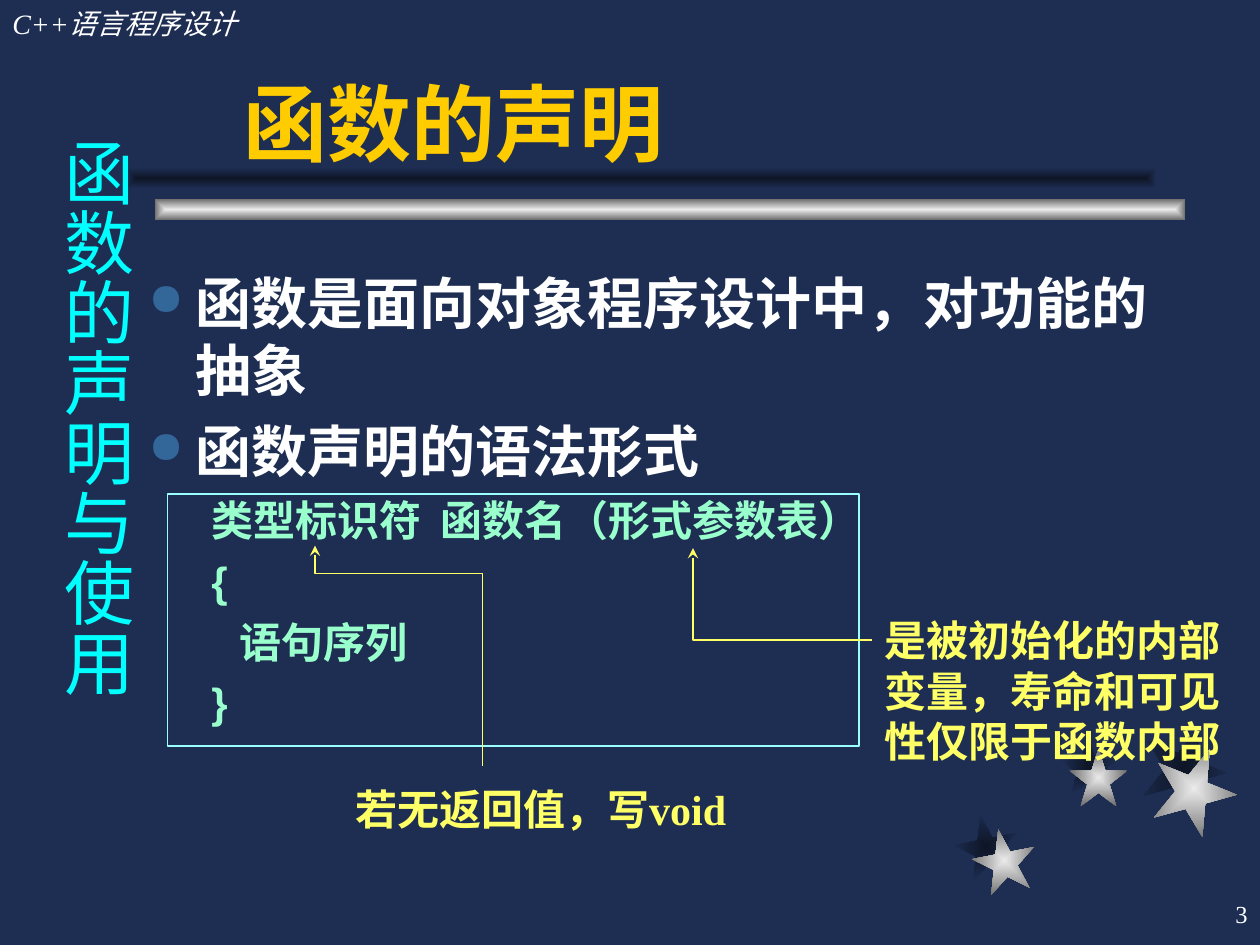
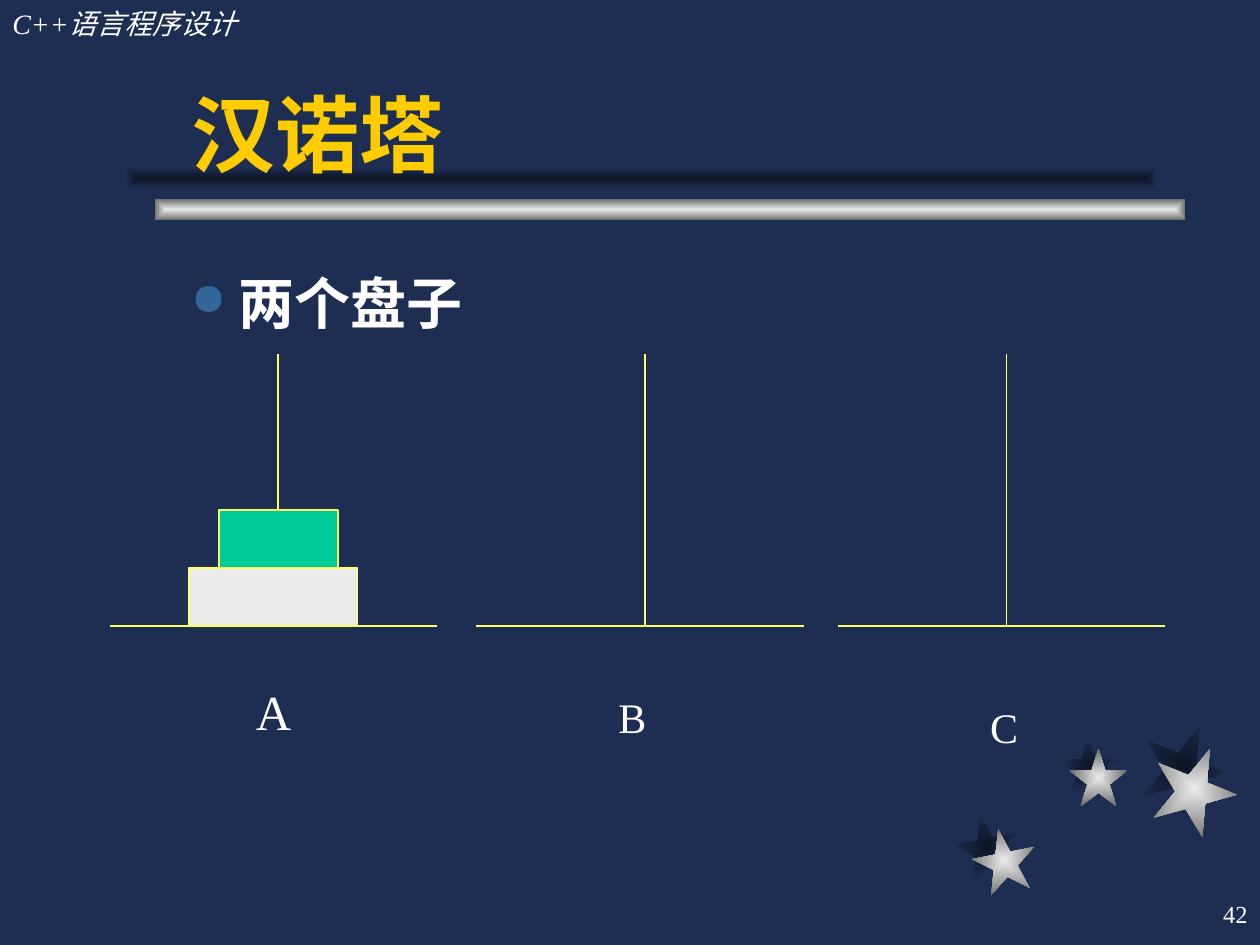
from lxml import etree
from pptx import Presentation
from pptx.dml.color import RGBColor
from pptx.enum import shapes, text
from pptx.oxml import ns
from pptx.util import Cm, Pt

COLOURS = {
    "background": "1E2E53", "shade": "0E1526", "silver": "EAEAEA", "steel": "6C6C6C",
    "white": "FFFFFF", "title": "FFCC00", "bullet": "336699", "code": "99FFCC",
    "chapter": "00FFFF", "frame": "99FFFF", "yellow": "FFFF66", "green": "00CC99",
}
SANS, SERIF = "Arial", "Times New Roman"

# All places and sizes are in centimetres: left, top, width, height.
COURSE = ("C++语言程序设计", (0, 0, 7.82, 0.94))
PAGE_NUMBER_BOX = (20.12, 17.78, 5.28, 1.27)
BAR_SIZE = (20.78, 0.43)
BAR_PLACES = [((3.12, 4.01), "silver", "steel"), ((2.54, 3.38), "shade", "background")]
# size, rotation, place of the shadow, place of the star
STARS = [
    (1.27, 349, (19.25, 16.43), (19.61, 16.71)),
    (1.17, 0, (21.36, 14.86), (21.56, 15.09)),
    (1.7, 22, (23.01, 14.6), (23.22, 15.04)),
]

DECLARATION = {
    "title": ("函数的声明", (4.65, 0.64, 18.85, 2.97)),
    "page": "3",
    "body_box": (2.74, 5.28, 21.39, 11.86),
    "bullets": ["函数是面向对象程序设计中，对功能的抽象", "函数声明的语法形式"],
    "code": ["类型标识符  函数名（形式参数表）", "{", "   语句序列", "}"],
}
CHAPTER = ("函数的声明与使用", (0.76, 2.54, 2.18, 13.77))
SYNTAX_FRAME = (3.38, 9.96, 13.94, 5.08)
NOTES = [
    ("是被初始化的内部变量，寿命和可见性仅限于函数内部", (17.58, 12.27, 7.62, 3.3),
     [(13.97, 11.05), (13.97, 12.9), (17.58, 12.9)]),
    ("若无返回值，写void", (6.91, 15.67, 8.6, 1.27),
     [(6.35, 11), (6.35, 11.56), (9.73, 11.56), (9.73, 15.44)]),
]

HANOI = {
    "title": ("汉诺塔", (3.6, 0.64, 19.9, 3.18)),
    "page": "42",
    "body_box": (3.6, 5.28, 20.12, 11.43),
    "bullets": ["两个盘子"],
    "code": [],
}
# base left, label, label size, label box
PEGS = [
    (2.21, "A", 28, (3.61, 13.61, 3.81, 1.45)),
    (9.6, "B", 24, (11.81, 13.82, 1.88, 1.27)),
    (16.89, "C", 24, (19.38, 14.02, 1.73, 1.27)),
]
BASE_Y, BASE_WIDTH, POLE_OFFSET, POLE_TOP = 12.62, 6.6, 3.4, 7.14
DISCS = [(3.81, 3.4, "silver"), (4.42, 2.39, "green")]  # left, width, colour; bottom first
DISC_HEIGHT = 1.17


def rgb(name):
    return RGBColor.from_string(COLOURS[name])


def lengths(values):
    return [Cm(value) for value in values]


def style(paragraph, size, colour, font=SERIF, bold=False, italic=False):
    for run in paragraph.runs:
        run.font.name, run.font.size = font, Pt(size)
        run.font.bold, run.font.italic = bold, italic
        run.font.color.rgb = rgb(colour)


def add_text(slide, words, box, size, colour, align=text.PP_ALIGN.LEFT, **looks):
    frame = slide.shapes.add_textbox(*lengths(box)).text_frame
    frame.word_wrap = True
    frame.text = words
    frame.paragraphs[0].alignment = align
    style(frame.paragraphs[0], size, colour, **looks)
    return frame


def add_preset(slide, preset, box):
    shape = slide.shapes.add_shape(preset, *lengths(box))
    shape.shadow.inherit = False
    return shape


def outline(shape, colour):
    shape.line.color.rgb = rgb(colour)
    shape.line.width = Pt(1)


def glow(shape, centre, edge):
    """Fill with a gradient that runs from the centre to the edges, without outline."""
    shape.line.fill.background()
    shape.fill.gradient()
    for stop, colour in zip(shape.fill.gradient_stops, (centre, edge)):
        stop.color.rgb = rgb(colour)
    gradient = shape._element.spPr.find(ns.qn("a:gradFill"))
    gradient.remove(gradient.find(ns.qn("a:lin")))
    rectangle = etree.SubElement(gradient, ns.qn("a:path"), {"path": "rect"})
    etree.SubElement(rectangle, ns.qn("a:fillToRect"), dict.fromkeys("ltrb", "50000"))


def add_line(slide, start, end):
    line = slide.shapes.add_connector(
        shapes.MSO_CONNECTOR.STRAIGHT, *lengths(start), *lengths(end))
    outline(line, "yellow")
    etree.SubElement(line._element.spPr, ns.qn("a:effectLst"))


def add_bent_arrow(slide, points):
    """Draw an open path whose arrowhead is at its first point."""
    start, *rest = [lengths(point) for point in points]
    builder = slide.shapes.build_freeform(*start)
    builder.add_line_segments(rest, close=False)
    arrow = builder.convert_to_shape()
    arrow.shadow.inherit = False
    arrow.fill.background()
    outline(arrow, "yellow")
    etree.SubElement(arrow.line._get_or_add_ln(), ns.qn("a:headEnd"), {"type": "stealth"})


def indent(paragraph, margin, hanging, bulleted):
    properties = paragraph._p.get_or_add_pPr()
    properties.set("marL", str(Cm(margin)))
    properties.set("indent", str(-Cm(hanging)))
    if bulleted:
        colour = etree.SubElement(properties, ns.qn("a:buClr"))
        etree.SubElement(colour, ns.qn("a:srgbClr"), {"val": COLOURS["bullet"]})
        etree.SubElement(properties, ns.qn("a:buSzPct"), {"val": "80000"})
        etree.SubElement(properties, ns.qn("a:buChar"), {"char": "●"})


def add_body(slide, content):
    frame = slide.shapes.add_textbox(*lengths(content["body_box"])).text_frame
    frame.word_wrap = True
    lines = [(words, True) for words in content["bullets"]]
    lines += [(words, False) for words in content["code"]]
    for number, (words, bulleted) in enumerate(lines):
        paragraph = frame.add_paragraph() if number else frame.paragraphs[0]
        paragraph.text = words
        if bulleted:
            indent(paragraph, 0.95, 0.95, True)
            style(paragraph, 32, "white", font=SANS, bold=True)
        else:
            paragraph.level = 1
            indent(paragraph, 2.06, 0.79, False)
            style(paragraph, 24, "code", font=SANS, bold=True)
        if number:
            paragraph.space_before = Pt(8 if bulleted else 6)


def start_slide(deck, content):
    slide = deck.slides.add_slide(deck.slide_layouts[5])
    words, box = content["title"]
    title = slide.shapes.title
    title.left, title.top, title.width, title.height = lengths(box)
    frame = title.text_frame
    frame.text = words
    frame.auto_size = text.MSO_AUTO_SIZE.NONE
    frame.vertical_anchor = text.MSO_ANCHOR.BOTTOM
    frame.paragraphs[0].alignment = text.PP_ALIGN.LEFT
    style(frame.paragraphs[0], 48, "title", font=SANS, bold=True)
    page = add_text(slide, content["page"], PAGE_NUMBER_BOX, 14, "white",
                    text.PP_ALIGN.RIGHT)
    page.vertical_anchor = text.MSO_ANCHOR.MIDDLE
    add_body(slide, content)
    return slide


def decorate_master(deck, slide):
    """Draw the shared decoration on a slide, then move it to the master."""
    background = deck.slide_master.background.fill
    background.solid()
    background.fore_color.rgb = rgb("background")

    before = len(slide.shapes)
    for layer, colours in ((2, ("shade", "background")), (3, ("silver", "steel"))):
        for star in STARS:
            size, rotation = star[:2]
            shape = add_preset(slide, shapes.MSO_SHAPE.STAR_5_POINT,
                               (*star[layer], size, size))
            shape.rotation = rotation
            glow(shape, *colours)
    for place, centre, edge in BAR_PLACES:
        glow(add_preset(slide, shapes.MSO_SHAPE.RECTANGLE, place + BAR_SIZE), centre, edge)
    add_text(slide, *COURSE, 16, "white", italic=True)

    for number, shape in enumerate(list(slide.shapes)[before:]):
        shape._element.xpath(".//p:cNvPr")[0].set("id", str(100 + number))
        deck.slide_master.shapes._spTree.append(shape._element)


def draw_declaration(slide):
    chapter = add_text(slide, *CHAPTER, 40, "chapter", text.PP_ALIGN.CENTER)
    chapter._txBody.bodyPr.set("vert", "eaVert")
    chapter.margin_left = chapter.margin_right = Cm(0.13)
    frame = add_preset(slide, shapes.MSO_SHAPE.RECTANGLE, SYNTAX_FRAME)
    frame.fill.background()
    outline(frame, "frame")
    for words, box, points in NOTES:
        add_bent_arrow(slide, points)
        add_text(slide, words, box, 24, "yellow", bold=True)


def draw_hanoi(slide):
    for left, label, size, box in PEGS:
        pole = left + POLE_OFFSET
        add_line(slide, (left, BASE_Y), (left + BASE_WIDTH, BASE_Y))
        add_line(slide, (pole, BASE_Y), (pole, POLE_TOP))
        add_text(slide, label, box, size, "white", text.PP_ALIGN.CENTER)
    for level, (left, width, colour) in enumerate(DISCS, start=1):
        disc = add_preset(slide, shapes.MSO_SHAPE.RECTANGLE,
                          (left, BASE_Y - level * DISC_HEIGHT, width, DISC_HEIGHT))
        disc.fill.solid()
        disc.fill.fore_color.rgb = rgb(colour)
        outline(disc, "yellow")


def main():
    deck = Presentation()
    deck.slide_width, deck.slide_height = Cm(25.4), Cm(19.05)
    declaration = start_slide(deck, DECLARATION)
    decorate_master(deck, declaration)
    draw_declaration(declaration)
    draw_hanoi(start_slide(deck, HANOI))
    deck.save("out.pptx")


if __name__ == "__main__":
    main()
